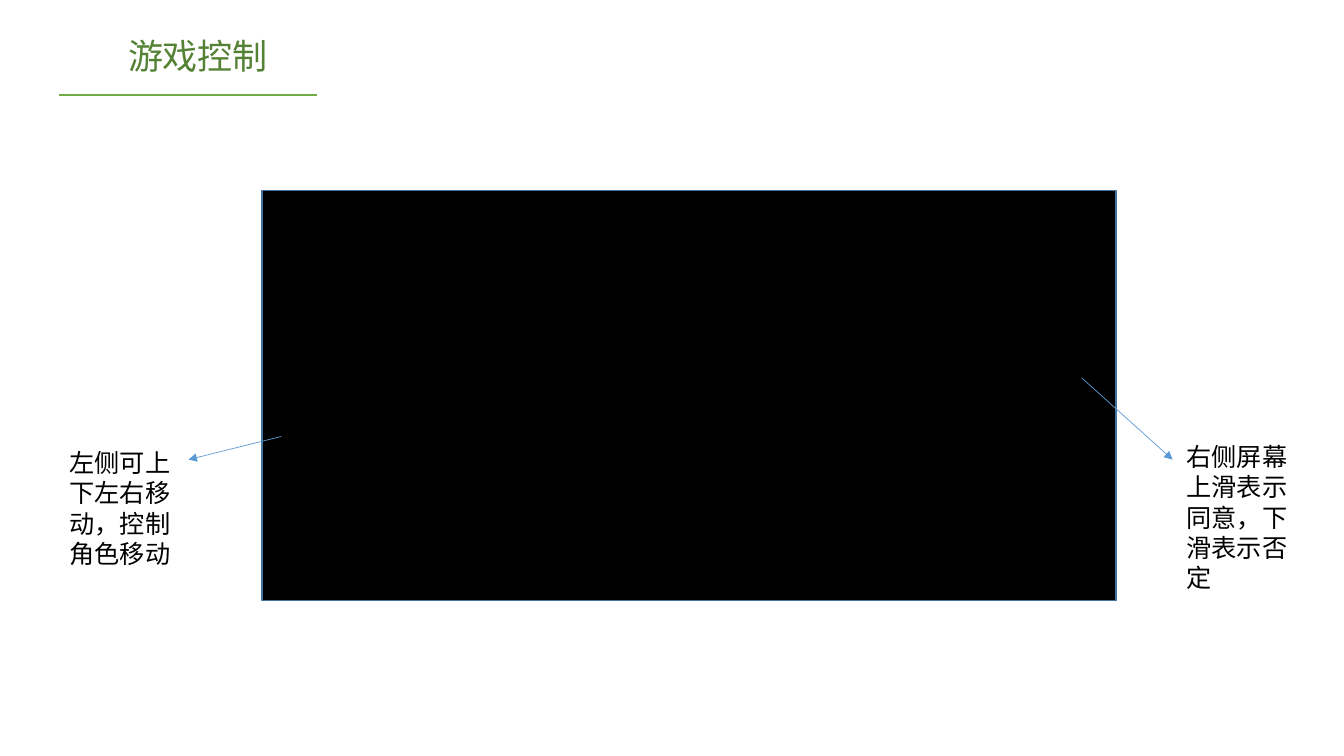
"""Build the game controls slide: a screen with a callout on each side."""
from lxml.etree import SubElement
from pptx import Presentation
from pptx.dml.color import RGBColor
from pptx.enum.shapes import MSO_CONNECTOR as CONN, MSO_SHAPE as SHAPE
from pptx.enum.text import MSO_ANCHOR as ANCHOR, MSO_AUTO_SIZE as FIT, PP_ALIGN as ALIGN
from pptx.oxml.ns import qn
from pptx.util import Inches, Pt

TITLE = "游戏控制"
CALLOUTS = [
    {"text": "左侧可上下左右移动，控制角色移动", "box": (0.59, 4.39, 1.28, 1.31),
     "arrow": (2.79, 4.33, 1.87, 4.56)},
    {"text": "右侧屏幕上滑表示同意，下滑表示否定", "box": (11.67, 4.33, 1.28, 1.62),
     "arrow": (10.73, 3.75, 11.63, 4.56)},
]
TITLE_BOX = (1.17, 0.29, 1.62, 0.52)
TITLE_RULE = (0.59, 0.94, 3.14, 0.94)
SCREEN = (2.6, 1.89, 8.47, 4.07)
COLORS = {"title": "548235", "rule": "70AD47", "screen": "000000",
          "border": "43739E", "arrow": "5B9BD5", "text": "000000"}
FONT = "DejaVu Sans"


def rgb(name):
    return RGBColor.from_string(COLORS[name])


def inches(values):
    return [Inches(v) for v in values]


def write(sp, text, size=18, color="text"):
    tf = sp.text_frame
    tf.word_wrap = True
    tf.auto_size = FIT.SHAPE_TO_FIT_TEXT
    tf.vertical_anchor = ANCHOR.TOP
    p = tf.paragraphs[0]
    p.alignment = ALIGN.LEFT
    r = p.add_run()
    r.text = text
    r.font.size = Pt(size)
    r.font.color.rgb = rgb(color)
    r.font.name = FONT
    SubElement(r.font._element, qn("a:ea"), typeface=FONT)


def draw_line(slide, ends, color, width, arrow=False):
    line = slide.shapes.add_connector(CONN.STRAIGHT, *inches(ends))
    line.line.color.rgb = rgb(color)
    line.line.width = Pt(width)
    if arrow:
        SubElement(line.line._get_or_add_ln(), qn("a:tailEnd"), type="triangle")
    SubElement(line._element.spPr, qn("a:effectLst"))


def main():
    prs = Presentation()
    prs.slide_width, prs.slide_height = inches((13.33, 7.5))
    slide = prs.slides.add_slide(prs.slide_layouts[5])

    title = slide.shapes.title
    title.left, title.top, title.width, title.height = inches(TITLE_BOX)
    write(title, TITLE, size=25, color="title")
    draw_line(slide, TITLE_RULE, "rule", 1.5)

    screen = slide.shapes.add_shape(SHAPE.RECTANGLE, *inches(SCREEN))
    screen.shadow.inherit = False
    screen.fill.solid()
    screen.fill.fore_color.rgb = rgb("screen")
    screen.line.color.rgb = rgb("border")
    screen.line.width = Pt(1)

    for callout in CALLOUTS:
        draw_line(slide, callout["arrow"], "arrow", 0.5, arrow=True)
        write(slide.shapes.add_textbox(*inches(callout["box"])), callout["text"])

    prs.save("out.pptx")


if __name__ == "__main__":
    main()
